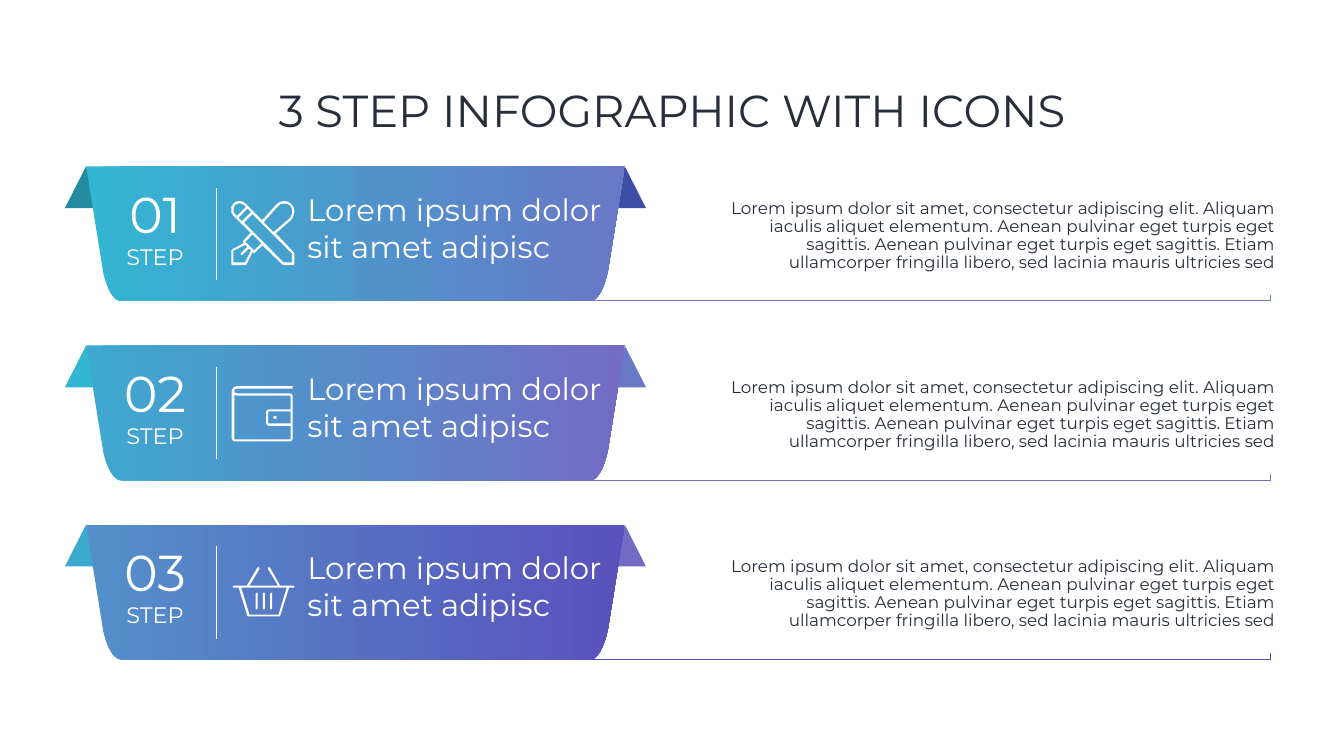
from dataclasses import dataclass

from pptx import Presentation
from pptx.dml.color import RGBColor
from pptx.enum.shapes import MSO_CONNECTOR, MSO_SHAPE
from pptx.enum.text import MSO_ANCHOR, MSO_AUTO_SIZE, PP_ALIGN
from pptx.oxml.ns import qn
from pptx.util import Cm, Pt
from lxml.etree import SubElement


@dataclass(frozen=True)
class Theme:
    font: str = "Montserrat"
    dark: str = "272E3A"
    white: str = "FFFFFF"
    title_size: int = 64
    number_size: int = 72
    step_size: int = 32
    heading_size: int = 44
    body_size: int = 24
    line_width: int = 1


@dataclass(frozen=True)
class Step:
    number: str
    left_fold: str
    right_fold: str
    start: str
    end: str


THEME = Theme()
STEPS = [
    Step("01", "238AA0", "3E4DA6", "33B6D2", "6977C7"),
    Step("02", "33B6D2", "6977C7", "3DA9CF", "746BC5"),
    Step("03", "3DA9CF", "746BC5", "5390CB", "5B51BB"),
]
HEADING = "Lorem ipsum dolor sit amet adipisc"
BODY = (
    "Lorem ipsum dolor sit amet, consectetur adipiscing elit. Aliquam iaculis aliquet "
    "elementum. Aenean pulvinar eget turpis eget sagittis. Aenean pulvinar eget turpis "
    "eget sagittis. Etiam ullamcorper fringilla libero, sed lacinia mauris ultricies sed"
)

# All positions below are centimetres.
FIRST_TOP, ROW_PITCH = 8.38, 9.03
BANNER_LEFT, BANNER_WIDTH, BANNER_HEIGHT = 4.34, 27.15, 6.81
FOLD = [(0, 0), (0.51, 2.11), (-1.07, 2.11)]
BANNER_CORNER = [(26.31, 5.21), (26.21, 5.74), (25.91, 6.81), (25.35, 6.81)]

# Icon outlines: the first contour is the silhouette, the rest are holes.
TOOLS = [
    [(3.15, 2.59), (2.24, 1.63), (3, 0.97), (3.13, 0.76), (3.18, 0.53), (3.14, 0.32),
     (3.02, 0.15), (2.86, 0.04), (2.67, 0), (2.46, 0.04), (2.29, 0.15), (1.55, 0.97),
     (0.71, 0.13), (0.57, 0.03), (0.41, 0), (0.24, 0.03), (0.1, 0.13), (0, 0.29),
     (0, 0.58), (0.1, 0.74), (0.97, 1.6), (0.58, 2.03), (0.61, 2.13), (0.05, 2.44),
     (0, 2.49), (0, 3.18), (0.05, 3.23), (0.71, 3.23), (0.76, 3.2), (1.07, 2.59),
     (1.17, 2.62), (1.57, 2.24), (2.57, 3.2), (2.62, 3.23), (3.12, 3.23),
     (3.18, 3.18), (3.18, 2.64)],
    [(2.34, 0.28), (2.48, 0.16), (2.67, 0.13), (2.84, 0.15), (2.97, 0.23),
     (3.06, 0.4), (3.06, 0.66), (2.97, 0.84), (2.13, 1.57), (1.63, 1.07)],
    [(0.23, 0.71), (0.13, 0.58), (0.1, 0.43), (0.18, 0.2), (0.41, 0.1),
     (0.64, 0.2), (0.74, 0.3), (0.28, 0.76)],
    [(0.36, 0.84), (0.81, 0.38), (0.99, 0.56), (0.53, 1.02)],
    [(0.69, 3.1), (0.1, 3.1), (0.1, 2.51), (0.71, 2.21), (0.81, 2.31), (0.48, 2.64),
     (0.48, 2.72), (0.56, 2.72), (0.89, 2.39), (0.99, 2.49)],
    [(1.14, 2.49), (0.71, 2.06), (1.07, 1.68), (1.52, 2.13)],
    [(3.05, 3.1), (2.64, 3.1), (0.64, 1.09), (1.07, 0.66), (3.05, 2.64)],
]
WALLET = [
    [(2.95, 0.36), (0.25, 0.36), (0.15, 0.32), (0.13, 0.23), (0.15, 0.15), (0.25, 0.13),
     (3.05, 0.13), (3.07, 0.06), (3.05, 0), (0.25, 0), (0.08, 0.08), (0, 0.23),
     (0, 2.64), (0.05, 2.74), (0.15, 2.79), (2.95, 2.79), (3.03, 2.74), (3.07, 2.64),
     (3.07, 0.51), (3.03, 0.41)],
    [(1.83, 1.27), (2.97, 1.27), (2.97, 1.88), (1.83, 1.88)],
    [(2.97, 1.17), (1.88, 1.17), (1.77, 1.22), (1.73, 1.32), (1.73, 1.85), (1.77, 1.96),
     (1.88, 2.01), (2.97, 2.01), (2.97, 2.69), (0.13, 2.69), (0.13, 0.43),
     (0.25, 0.48), (2.97, 0.48)],
]
BASKET = [
    [(3.07, 0.94), (2.39, 0.94), (1.88, 0.03), (1.8, 0), (1.78, 0.1), (2.29, 0.94),
     (0.84, 0.94), (1.35, 0.1), (1.32, 0), (1.24, 0.03), (0.71, 0.94), (0.05, 0.94),
     (0, 0.99), (0.05, 1.04), (0.3, 1.04), (0.74, 2.46), (0.81, 2.49), (2.34, 2.49),
     (2.39, 2.46), (2.84, 1.04), (3.07, 1.04), (3.12, 0.99)],
    [(2.31, 2.39), (0.84, 2.39), (0.43, 1.04), (2.72, 1.04)],
]


def color(value):
    return RGBColor.from_string(value)


def mirror(points):
    return [(BANNER_WIDTH - x, y) for x, y in points]


def bezier(controls, segments=12):
    """Sample a cubic curve given by its four control points."""
    points = []
    for index in range(segments + 1):
        t = index / segments
        weights = ((1 - t) ** 3, 3 * t * (1 - t) ** 2, 3 * t * t * (1 - t), t ** 3)
        points.append(tuple(sum(w * point[axis] for w, point in zip(weights, controls))
                            for axis in (0, 1)))
    return points


def finish(shape, fill, fill_end=None):
    """Give a shape a plain fill, or a gradient from left to right."""
    shape.shadow.inherit = False
    shape.line.fill.background()
    if fill_end is None:
        shape.fill.solid()
        shape.fill.fore_color.rgb = color(fill)
        return
    shape.fill.gradient()
    shape.fill.gradient_angle = 0
    for stop, value in zip(shape.fill.gradient_stops, (fill, fill_end)):
        stop.color.rgb = color(value)


def add_outline(slide, left, top, contours, fill, fill_end=None):
    placed = [[(Cm(left + x), Cm(top + y)) for x, y in contour] for contour in contours]
    builder = slide.shapes.build_freeform(*placed[0][0])
    builder.add_line_segments(placed[0][1:], close=True)
    for contour in placed[1:]:
        builder.move_to(*contour[0])
        builder.add_line_segments(contour[1:], close=True)
    finish(builder.convert_to_shape(), fill, fill_end)


def add_preset(slide, preset, left, top, width, height):
    shape = slide.shapes.add_shape(preset, Cm(left), Cm(top), Cm(width), Cm(height))
    finish(shape, THEME.white)
    return shape


def add_line(slide, start, end, line_color):
    line = slide.shapes.add_connector(
        MSO_CONNECTOR.STRAIGHT, *(Cm(value) for value in (*start, *end)))
    line.line.color.rgb = color(line_color)
    line.line.width = Pt(THEME.line_width)
    SubElement(line._element.spPr, qn("a:effectLst"))


def add_text(slide, box, lines, text_color, align=PP_ALIGN.LEFT, spacing=None, wrap=True):
    """Add a text box; lines holds one (text, size) pair per paragraph."""
    shape = slide.shapes.add_textbox(*(Cm(value) for value in box))
    frame = shape.text_frame
    frame.word_wrap = wrap
    frame.auto_size = MSO_AUTO_SIZE.NONE
    for index, (text, size) in enumerate(lines):
        paragraph = frame.add_paragraph() if index else frame.paragraphs[0]
        paragraph.alignment = align
        paragraph.line_spacing = spacing
        run = paragraph.add_run()
        run.text = text
        run.font.name = THEME.font
        run.font.size = Pt(size)
        run.font.color.rgb = color(text_color)
    return frame


def add_banner(slide, top, step):
    for points, fill in ((FOLD, step.left_fold), (mirror(FOLD), step.right_fold)):
        add_outline(slide, BANNER_LEFT, top, [points], fill)
    corner = bezier(BANNER_CORNER)
    outline = [(0, 0), (BANNER_WIDTH, 0), *corner, *reversed(mirror(corner))]
    add_outline(slide, BANNER_LEFT, top, [outline], step.start, step.end)


def add_step(slide, top, step):
    add_banner(slide, top, step)
    add_text(slide, (35.89, top + 1.55, 28.6, 3.96), [(BODY, THEME.body_size)],
             THEME.dark, PP_ALIGN.RIGHT, 0.9)
    add_line(slide, (10.9, top + 1.07), (10.9, top + 5.74), THEME.white)
    add_text(slide, (6, top + 0.7, 3.63, 4.7),
             [(step.number, THEME.number_size), ("STEP", THEME.step_size)],
             THEME.white, PP_ALIGN.CENTER, wrap=False)
    add_text(slide, (15.24, top + 1.09, 15.82, 4.01), [(HEADING, THEME.heading_size)],
             THEME.white)
    rail = top + BANNER_HEIGHT - 0.03
    add_line(slide, (28.58, rail), (64.06, rail), step.end)
    add_line(slide, (64.03, rail - 0.3), (64.03, rail), step.end)


def add_icons(slide):
    add_outline(slide, 11.66, 10.13, TOOLS, THEME.white)
    add_outline(slide, 11.68, 19.46, WALLET, THEME.white)
    add_preset(slide, MSO_SHAPE.OVAL, 13.77, 20.96, 0.18, 0.15)
    add_outline(slide, 11.73, 28.58, BASKET, THEME.white)
    for index in range(3):
        bar = add_preset(slide, MSO_SHAPE.ROUNDED_RECTANGLE,
                         12.88 + 0.37 * index, 29.87, 0.1, 0.84)
        bar.adjustments[0] = 0.5


def main():
    presentation = Presentation()
    presentation.slide_width, presentation.slide_height = Cm(67.74), Cm(38.1)
    slide = presentation.slides.add_slide(presentation.slide_layouts[6])
    title = add_text(slide, (4.65, 2.03, 58.42, 7.37),
                     [("3 STEP INFOGRAPHIC WITH ICONS", THEME.title_size)],
                     THEME.dark, PP_ALIGN.CENTER, 0.9)
    title.vertical_anchor = MSO_ANCHOR.MIDDLE
    for index, step in enumerate(STEPS):
        add_step(slide, FIRST_TOP + ROW_PITCH * index, step)
    add_icons(slide)
    presentation.save("out.pptx")


if __name__ == "__main__":
    main()
